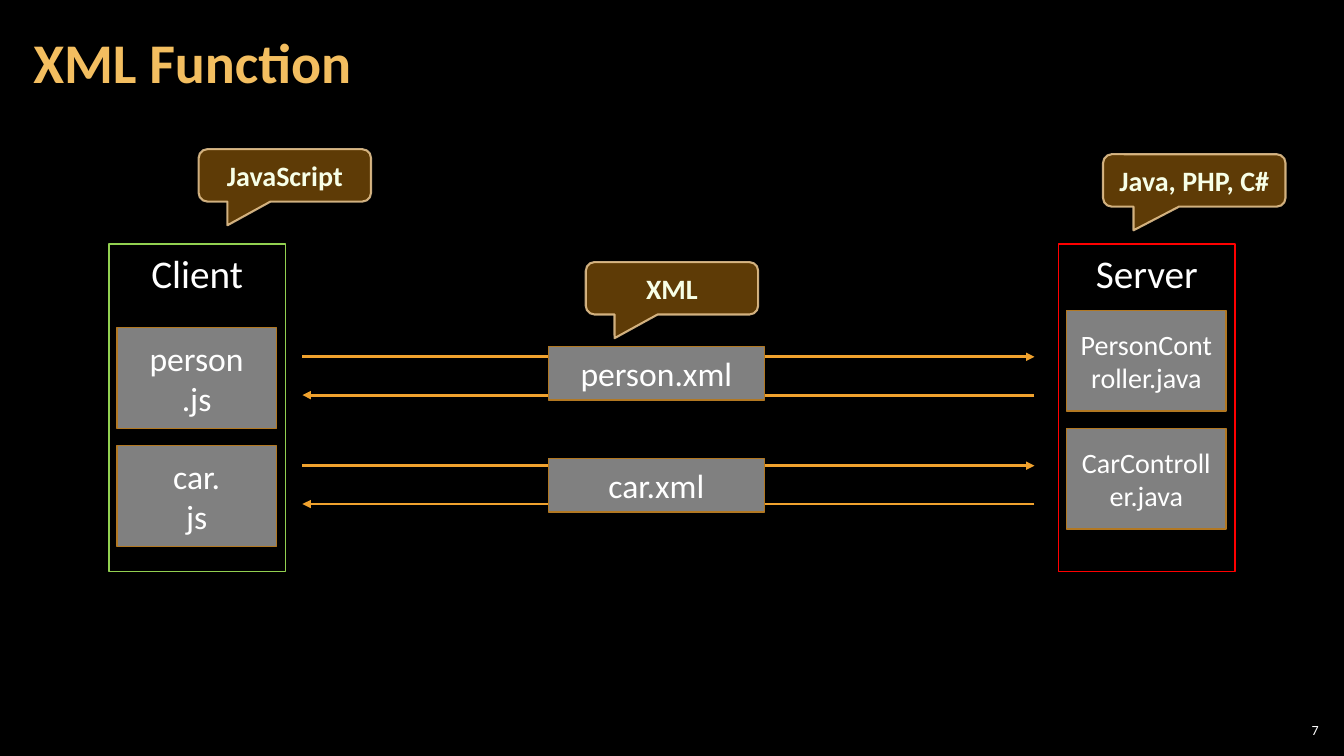
from dataclasses import dataclass

from lxml.etree import SubElement
from pptx import Presentation
from pptx.dml.color import RGBColor
from pptx.enum.shapes import MSO_CONNECTOR as Connector, MSO_SHAPE as Shape
from pptx.enum.text import MSO_ANCHOR as Anchor, PP_ALIGN as Align
from pptx.oxml.ns import qn
from pptx.util import Inches, Pt


@dataclass(frozen=True)
class Theme:
    font: str = "Calibri"
    background: str = "000000"
    title: str = "F3BE60"
    text: str = "FFFFFF"
    client: str = "92D050"
    server: str = "FF0000"
    tile: str = "808080"
    tile_border: str = "B27822"
    arrow: str = "F0A22E"
    callout: str = "643F07"
    callout_border: str = "F8D49E"
    callout_text: str = "F7FFE7"
    title_size: int = 40
    heading_size: int = 28
    file_size: int = 24
    small_size: int = 20
    number_size: int = 10


THEME = Theme()


def apply_format(target, values):
    for name, value in values.items():
        setattr(target, name, value)


def write_text(shape, text, size, color=THEME.text, bold=False,
               align=Align.CENTER, anchor=Anchor.MIDDLE, **frame_format):
    frame = shape.text_frame
    apply_format(frame, {"word_wrap": True, "vertical_anchor": anchor, **frame_format})
    paragraph = frame.paragraphs[0]
    paragraph.text = text
    paragraph.alignment = align
    for run in paragraph.runs:
        apply_format(run.font, {"name": THEME.font, "size": Pt(size), "bold": bold})
        run.font.color.rgb = RGBColor.from_string(color)
    return paragraph


def set_opacity(fill_parent, percent):
    color = fill_parent.find(qn("a:solidFill")).find(qn("a:srgbClr"))
    SubElement(color, qn("a:alpha")).set("val", str(percent * 1000))


def add_box(slide, kind, bounds, fill, border, border_width=1):
    shape = slide.shapes.add_shape(kind, *map(Inches, bounds))
    shape.shadow.inherit = False
    if fill:
        shape.fill.solid()
        shape.fill.fore_color.rgb = RGBColor.from_string(fill)
    else:
        shape.fill.background()
    shape.line.color.rgb = RGBColor.from_string(border)
    shape.line.width = Pt(border_width)
    return shape


def add_title(slide, text):
    title = slide.shapes.title
    apply_format(title, {"left": Inches(0.21), "top": Inches(0.04),
                         "width": Inches(10.47), "height": Inches(1.21)})
    paragraph = write_text(
        title, text, THEME.title_size, THEME.title, True, Align.LEFT,
        margin_left=Inches(0.12), margin_right=Inches(0.12),
        margin_top=Inches(0.04), margin_bottom=Inches(0.04))
    paragraph.line_spacing = 0.9


def add_slide_number(slide, number):
    box = slide.shapes.add_textbox(*map(Inches, (12.65, 7.14, 0.47, 0.21)))
    margins = {f"margin_{side}": Inches(0.04)
               for side in ("left", "top", "right", "bottom")}
    write_text(box, number, THEME.number_size, align=Align.RIGHT, **margins)


def add_file(slide, bounds, name, size=THEME.file_size):
    tile = add_box(slide, Shape.RECTANGLE, bounds, THEME.tile, THEME.tile_border)
    write_text(tile, name, size)


def add_machine(slide, left, name, border, files, files_top, file_size):
    machine = add_box(slide, Shape.RECTANGLE, (left, 2.42, 1.75, 3.25), None, border)
    write_text(machine, name, THEME.heading_size, anchor=Anchor.TOP)
    for index, file_name in enumerate(files):
        bounds = (left + 0.08, files_top + index * 1.17, 1.58, 1)
        add_file(slide, bounds, file_name, file_size)


def add_arrow(slide, start, end, y):
    arrow = slide.shapes.add_connector(
        Connector.STRAIGHT, Inches(start), Inches(y), Inches(end), Inches(y))
    arrow.line.color.rgb = RGBColor.from_string(THEME.arrow)
    arrow.line.width = Pt(2)
    properties = arrow._element.spPr
    SubElement(properties.find(qn("a:ln")), qn("a:tailEnd")).set("type", "triangle")
    SubElement(properties, qn("a:effectLst"))


def add_exchange(slide, name, arrow_top, file_top):
    client_side, server_side = 3, 10.26
    add_arrow(slide, client_side, server_side, arrow_top)
    add_arrow(slide, server_side, client_side, arrow_top + 0.38)
    add_file(slide, (5.44, file_top, 2.14, 0.53), name)


def add_callout(slide, left, top, width, text):
    callout = add_box(slide, Shape.ROUNDED_RECTANGULAR_CALLOUT, (left, top, width, 0.52),
                      THEME.callout, THEME.callout_border, 1.5)
    for index, value in enumerate((-0.333, 0.952, 0.167)):
        callout.adjustments[index] = value
    properties = callout._element.spPr
    set_opacity(properties, 95)
    set_opacity(properties.find(qn("a:ln")), 80)
    write_text(callout, text, THEME.small_size, THEME.callout_text, True)


def main():
    presentation = Presentation()
    apply_format(presentation, {"slide_width": Inches(13.33), "slide_height": Inches(7.5)})
    slide = presentation.slides.add_slide(presentation.slide_layouts[5])
    slide.background.fill.solid()
    slide.background.fill.fore_color.rgb = RGBColor.from_string(THEME.background)

    add_slide_number(slide, "7")
    add_title(slide, "XML Function")
    add_machine(slide, 1.08, "Client", THEME.client,
                ("person\n.js", "car.\njs"), 3.25, THEME.file_size)
    add_machine(slide, 10.5, "Server", THEME.server,
                ("PersonController.java", "CarController.java"), 3.08, THEME.small_size)
    add_exchange(slide, "person.xml", 3.54, 3.44)
    add_exchange(slide, "car.xml", 4.62, 4.55)
    add_callout(slide, 1.97, 1.48, 1.71, "JavaScript")
    add_callout(slide, 10.94, 1.53, 1.81, "Java, PHP, C#")
    add_callout(slide, 5.81, 2.6, 1.71, "XML")
    presentation.save("out.pptx")


if __name__ == "__main__":
    main()
